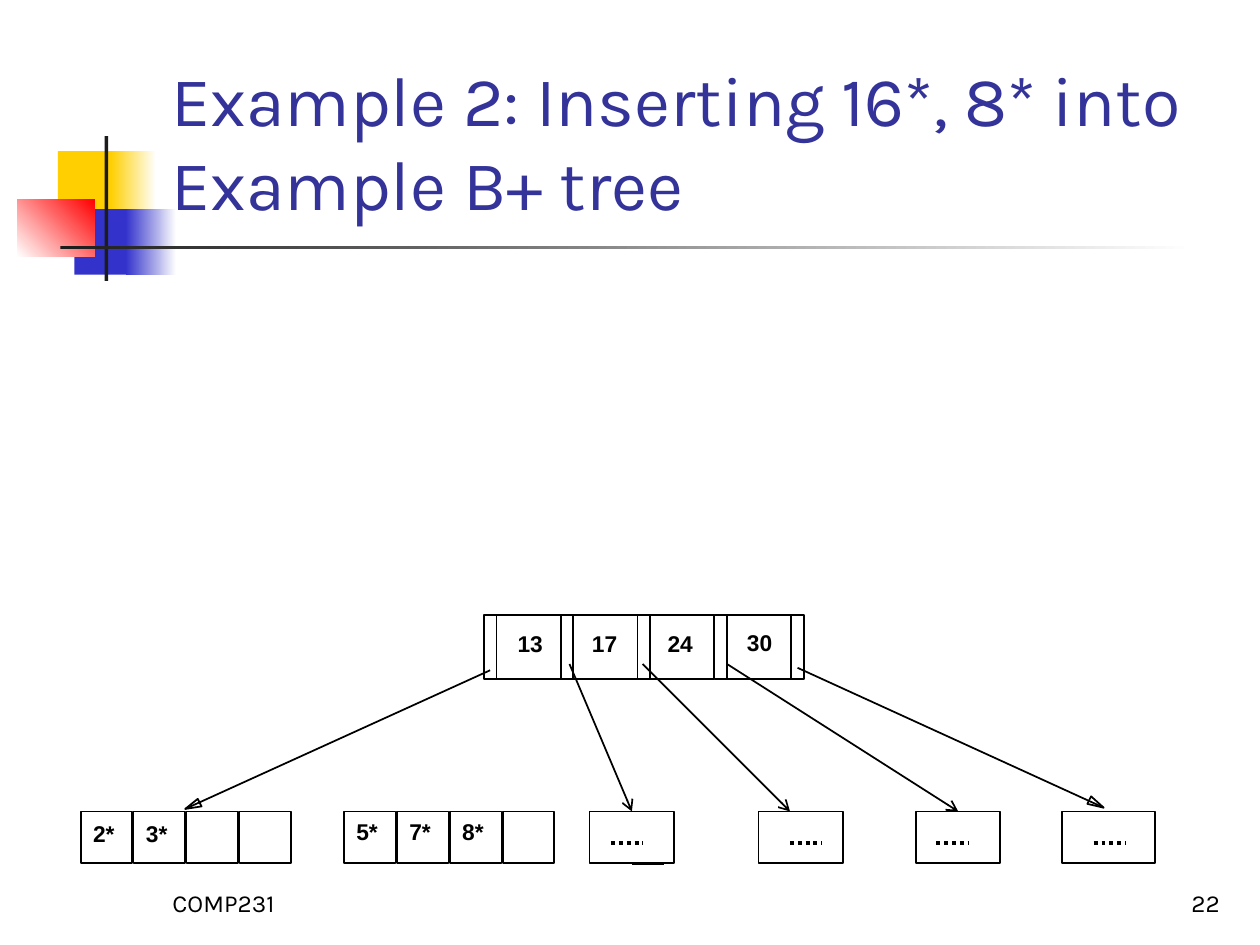
import pptx
import pptx.util
from lxml import etree
from pptx.dml.color import RGBColor
from pptx.enum.dml import MSO_LINE
from pptx.enum.shapes import MSO_CONNECTOR, MSO_SHAPE
from pptx.enum.text import MSO_ANCHOR, PP_ALIGN
from pptx.oxml.ns import qn
from pptx.util import Inches, Pt

BLACK = RGBColor(0x00, 0x00, 0x00)
WHITE = RGBColor(0xFF, 0xFF, 0xFF)
INK = RGBColor(0x1C, 0x1C, 0x1C)
YELLOW = RGBColor(0xFF, 0xCF, 0x01)
BLUE = RGBColor(0x33, 0x33, 0xCC)
RED = RGBColor(0xFF, 0x00, 0x00)
TITLE = RGBColor(0x33, 0x33, 0x99)


def write(tf, text, size=13, font="Arial", color=BLACK, bold=False, align=PP_ALIGN.LEFT):
    p = tf.paragraphs[0]
    p.alignment = align
    r = p.add_run()
    r.text = text
    r.font.size, r.font.name, r.font.bold = Pt(size), font, bold
    r.font.color.rgb = color


class Diagram:
    """Draws on one slide in a thin black outline style."""

    def __init__(self, s, line_width=1):
        self.s = s
        self.line_width = line_width

    def outline(self, sp):
        sp.shadow.inherit = False
        sp.fill.background()
        sp.line.color.rgb = BLACK
        sp.line.width = Pt(self.line_width)
        return sp

    def box(self, x, y, w, h):
        return self.outline(self.s.shapes.add_shape(
            MSO_SHAPE.RECTANGLE, Inches(x), Inches(y), Inches(w), Inches(h)))

    def block(self, x, y, w, h, *colors, angle=0):
        """Borderless rectangle in one colour or a two-colour gradient."""
        sp = self.box(x, y, w, h)
        sp.line.fill.background()
        if len(colors) == 1:
            sp.fill.solid()
            sp.fill.fore_color.rgb = colors[0]
        else:
            sp.fill.gradient()
            sp.fill.gradient_angle = angle
            for stop, color in zip(sp.fill.gradient_stops, colors):
                stop.color.rgb = color

    def polygon(self, points):
        fb = self.s.shapes.build_freeform(*[Inches(v) for v in points[0]])
        fb.add_line_segments([(Inches(x), Inches(y)) for x, y in points[1:]], close=True)
        return self.outline(fb.convert_to_shape())

    def line(self, x1, y1, x2, y2, width=None, dash=None, arrow=False):
        cx = self.s.shapes.add_connector(
            MSO_CONNECTOR.STRAIGHT, Inches(x1), Inches(y1), Inches(x2), Inches(y2))
        cx.line.color.rgb = BLACK
        cx.line.width = Pt(width or self.line_width)
        if dash:
            cx.line.dash_style = dash
        if arrow:
            etree.SubElement(cx.line._get_or_add_ln(), qn("a:tailEnd"), type="arrow")
        etree.SubElement(cx._element.spPr, qn("a:effectLst"))
        return cx

    def text(self, x, y, w, h, text, wrap=True, anchor=MSO_ANCHOR.BOTTOM, **fmt):
        tb = self.s.shapes.add_textbox(Inches(x), Inches(y), Inches(w), Inches(h))
        tf = tb.text_frame
        tf.word_wrap = wrap
        tf.vertical_anchor = anchor
        write(tf, text, **fmt)

    def key(self, x, y, w, text):
        self.text(x, y, w, 0.31, text, wrap=False, anchor=MSO_ANCHOR.TOP, bold=True)


def main():
    prs = pptx.Presentation()
    prs.slide_width, prs.slide_height = Inches(10), Inches(7.5)
    d = Diagram(prs.slides.add_slide(prs.slide_layouts[6]))

    # Corner ornament and title rule
    d.block(0.46, 1.2, 0.48, 0.52, YELLOW)
    d.block(0.88, 1.2, 0.36, 0.52, YELLOW, WHITE)
    d.block(0.59, 1.66, 0.46, 0.52, BLUE)
    d.block(1, 1.66, 0.4, 0.52, BLUE, WHITE)
    d.block(0.14, 1.58, 0.61, 0.46, WHITE, RED, angle=45)
    d.block(0.83, 1.08, 0.03, 1.15, INK)
    d.block(0.48, 1.95, 9, 0.03, INK, WHITE)

    # Title and footer
    d.text(1.26, 0.23, 8.52, 1.6, "Example 2: Inserting 16*, 8* into Example B+ tree",
           size=40, font="Karla", color=TITLE)
    d.text(1.27, 6.83, 2.08, 0.5, "COMP231", size=14, font="Karla")
    d.text(7.7, 6.83, 2.08, 0.5, "22", size=14, font="Karla", align=PP_ALIGN.RIGHT)

    # Root node: a narrow pointer slot before each key, one more at the end
    root_x, root_y, root_h, entry, slot = 3.84, 4.88, 0.51, 0.61, 0.1
    keys = [("13", 4.01, 4.95), ("17", 4.6, 4.95), ("24", 5.2, 4.95), ("30", 5.83, 4.94)]
    for i, (label, key_x, key_y) in enumerate(keys):
        x = root_x + i * entry
        d.box(x, root_y, entry, root_h)
        d.line(x + slot, root_y, x + slot, root_y + root_h)
        d.key(key_x, key_y, 0.4, label)
    d.box(root_x + len(keys) * entry, root_y, slot, root_h)

    # Leaf nodes with entries; empty strings are free places
    leaf_y, leaf_h, cell = 6.44, 0.41, 0.41
    leaves = [(0.64, 0.02, ["2*", "3*", "", ""]), (2.73, 0, ["5*", "7*", "8*", ""])]
    for left, drop, entries in leaves:
        for i, label in enumerate(entries):
            x = left + i * (cell + 0.01)
            d.box(x, leaf_y, cell, leaf_h)
            if label:
                d.key(x, leaf_y + drop, 0.37, label)

    # Abbreviated leaves: left, width, start of dots
    short = [(4.68, 0.67, 4.85), (6.02, 0.67, 6.27), (7.27, 0.67, 7.43), (8.43, 0.74, 8.68)]
    boxes = []
    for x, w, dots in short:
        boxes.append(d.box(x, leaf_y, w, leaf_h))
        d.line(dots, 6.69, dots + 0.25, 6.69, width=2.25, dash=MSO_LINE.ROUND_DOT)
    d.line(5.02, 6.86, 5.27, 6.86)

    # Inner pointers
    d.line(4.52, 5.27, 5.02, leaf_y, arrow=True).end_connect(boxes[0], 0)
    d.line(5.1, 5.27, 6.27, leaf_y, arrow=True)
    d.line(5.77, 5.27, 7.6, leaf_y, arrow=True).end_connect(boxes[2], 0)

    # Outer pointers with hollow heads
    d.line(3.89, 5.32, 1.47, 6.42)
    d.polygon([(1.6, 6.4), (1.47, 6.42), (1.57, 6.34)])
    d.line(6.33, 5.3, 8.76, 6.41)
    d.polygon([(8.66, 6.32), (8.76, 6.41), (8.63, 6.38)])

    prs.save("out.pptx")


if __name__ == "__main__":
    main()
